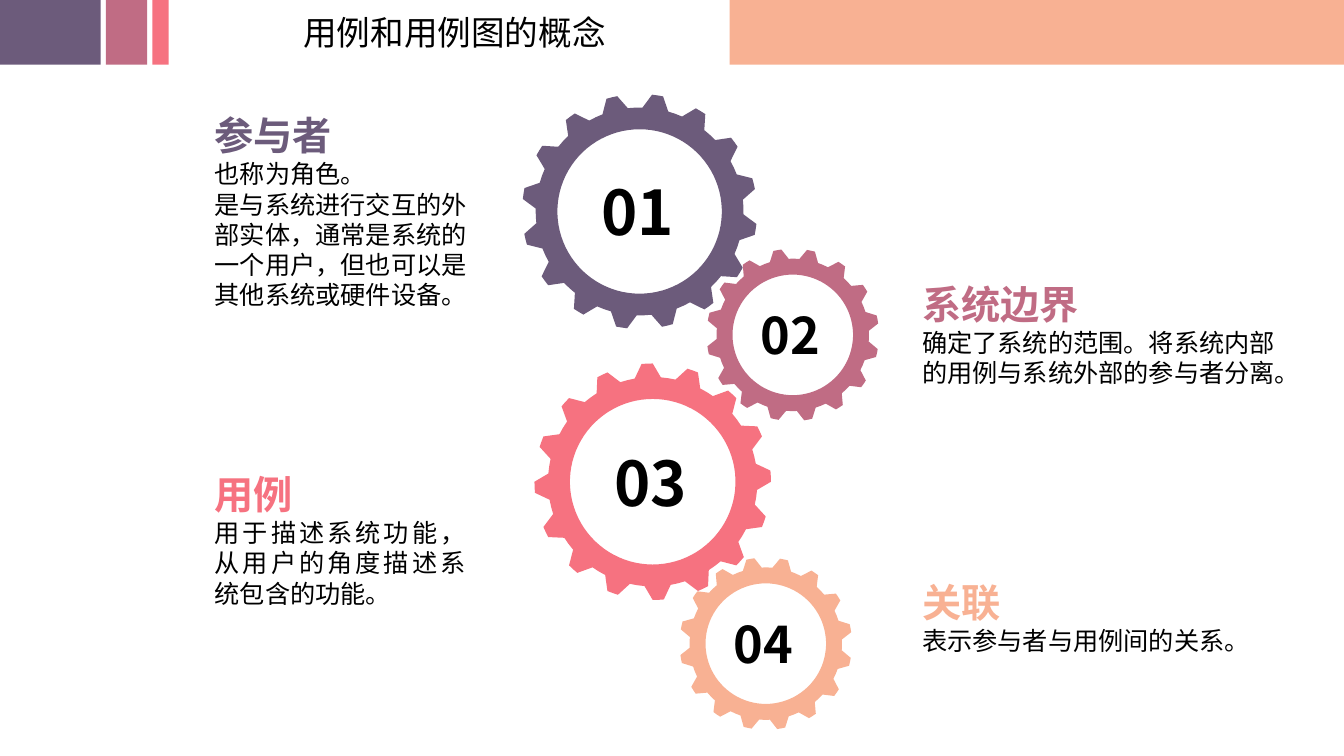
from dataclasses import dataclass
from math import cos, radians, sin
from typing import Optional

from lxml.etree import SubElement
from pptx import Presentation
from pptx.dml.color import RGBColor
from pptx.enum.shapes import MSO_SHAPE
from pptx.enum.text import MSO_ANCHOR, MSO_AUTO_SIZE, PP_ALIGN as Align
from pptx.oxml.ns import qn
from pptx.util import Cm, Pt


@dataclass(frozen=True)
class Theme:
    purple: str = "6C5B7B"
    mauve: str = "C06C84"
    coral: str = "F67280"
    peach: str = "F8B193"
    black: str = "000000"
    display: str = "Noto Sans CJK SC"
    text: str = "Calibri"
    title: int = 24
    heading: int = 28
    body: int = 18
    big_number: int = 44
    small_number: int = 36


@dataclass(frozen=True)
class Bar:
    left: float
    width: float
    color: str


@dataclass(frozen=True)
class Gear:
    number: str
    x: float
    y: float
    radius: float
    turn: float
    color: str
    size: int
    box_width: float
    box_height: float


@dataclass(frozen=True)
class Topic:
    heading: str
    body: tuple[str, ...]
    left: float
    top: float
    width: float
    height: float
    color: str
    heading_align: Optional[Align] = None
    body_align: Optional[Align] = None


T = Theme()
BAR_HEIGHT = 1.63
TEETH = 16
TOOTH = ((-7.2, 0.885), (-2.7, 1), (0, 1), (2.7, 1), (7.2, 0.885), (11.25, 0.885))
HOLE_RATIO = 0.7
HOLE_STEP = 4

BARS = (
    Bar(18.39, 15.48, T.peach),
    Bar(0, 2.54, T.purple),
    Bar(2.67, 1.04, T.mauve),
    Bar(3.84, 0.41, T.coral),
)
GEARS = (
    Gear("01", 16.12, 5.33, 2.96, 31.3, T.purple, T.big_number, 2.44, 2.13),
    Gear("02", 19.98, 8.44, 2.17, 34.7, T.mauve, T.small_number, 2.11, 1.8),
    Gear("03", 16.45, 12.14, 2.98, 42.3, T.coral, T.big_number, 2.44, 2.13),
    Gear("04", 19.3, 16.22, 2.17, 34.7, T.peach, T.small_number, 2.11, 1.8),
)
TOPICS = (
    Topic("参与者",
          ("也称为角色。",
           "是与系统进行交互的外部实体，通常是系统的一个用户，但也可以是其他系统或硬件设备。"),
          5.16, 2.69, 6.91, 5.31, T.purple, heading_align=Align.JUSTIFY),
    Topic("用例", ("用于描述系统功能，从用户的角度描述系统包含的功能。",),
          5.16, 11.73, 6.83, 3.76, T.coral, body_align=Align.JUSTIFY),
    Topic("系统边界", ("确定了系统的范围。将系统内部的用例与系统外部的参与者分离。",),
          22.99, 6.93, 9.91, 3, T.mauve),
    Topic("关联", ("表示参与者与用例间的关系。",),
          22.99, 14.45, 9.91, 2.21, T.peach),
)


def paint(sp, color: str) -> None:
    sp.fill.solid()
    sp.fill.fore_color.rgb = RGBColor.from_string(color)
    sp.line.fill.background()
    sp.shadow.inherit = False


def style(p, font: str, size: int, color: str, bold: bool = False) -> None:
    p.font.name = font
    p.font.size = Pt(size)
    p.font.bold = bold
    p.font.color.rgb = RGBColor.from_string(color)
    props = p._p.get_or_add_pPr().find(qn("a:defRPr"))
    SubElement(props, qn("a:ea")).set("typeface", T.display)


def add_title(s, text: str) -> None:
    sp = s.shapes.title
    sp.left, sp.top, sp.width, sp.height = Cm(7.39), Cm(0.18), Cm(8.28), Cm(1.27)
    tf = sp.text_frame
    tf.text = text
    tf.vertical_anchor = MSO_ANCHOR.TOP
    tf.auto_size = MSO_AUTO_SIZE.SHAPE_TO_FIT_TEXT
    p = tf.paragraphs[0]
    p.alignment = Align.LEFT
    style(p, T.display, T.title, T.black)


def add_bar(s, bar: Bar) -> None:
    sp = s.shapes.add_shape(MSO_SHAPE.RECTANGLE, Cm(bar.left), 0,
                            Cm(bar.width), Cm(BAR_HEIGHT))
    paint(sp, bar.color)


def add_text(s, left: float, top: float, width: float, height: float, wrap: bool):
    tf = s.shapes.add_textbox(Cm(left), Cm(top), Cm(width), Cm(height)).text_frame
    tf.word_wrap = wrap
    tf.auto_size = MSO_AUTO_SIZE.SHAPE_TO_FIT_TEXT
    return tf


def add_gear(s, gear: Gear) -> None:
    def point(angle: float, ratio: float) -> tuple[int, int]:
        a = radians(angle)
        return (Cm(gear.x + gear.radius * ratio * sin(a)),
                Cm(gear.y - gear.radius * ratio * cos(a)))

    rim = [point(gear.turn + tooth * 360 / TEETH + angle, ratio)
           for tooth in range(TEETH) for angle, ratio in TOOTH]
    hole = [point(-angle, HOLE_RATIO) for angle in range(0, 360, HOLE_STEP)]
    builder = s.shapes.build_freeform(*rim[0])
    builder.add_line_segments(rim[1:], close=True)
    builder.move_to(*hole[0])
    builder.add_line_segments(hole[1:], close=True)
    paint(builder.convert_to_shape(), gear.color)


def add_number(s, gear: Gear) -> None:
    tf = add_text(s, gear.x - gear.box_width / 2, gear.y - gear.box_height / 2,
                  gear.box_width, gear.box_height, False)
    tf.text = gear.number
    style(tf.paragraphs[0], T.display, gear.size, T.black, True)


def add_topic(s, topic: Topic) -> None:
    tf = add_text(s, topic.left, topic.top, topic.width, topic.height, True)
    tf.text = "\n".join((topic.heading, *topic.body))
    heading, *body = tf.paragraphs
    heading.alignment = topic.heading_align
    style(heading, T.display, T.heading, topic.color, True)
    for p in body:
        p.alignment = topic.body_align
        style(p, T.text, T.body, T.black)


def main() -> None:
    prs = Presentation()
    prs.slide_width, prs.slide_height = Cm(33.87), Cm(19.05)
    s = prs.slides.add_slide(prs.slide_layouts[5])
    add_title(s, "用例和用例图的概念")
    for bar in BARS:
        add_bar(s, bar)
    for gear in GEARS:
        add_gear(s, gear)
        add_number(s, gear)
    for topic in TOPICS:
        add_topic(s, topic)
    prs.save("out.pptx")


if __name__ == "__main__":
    main()
